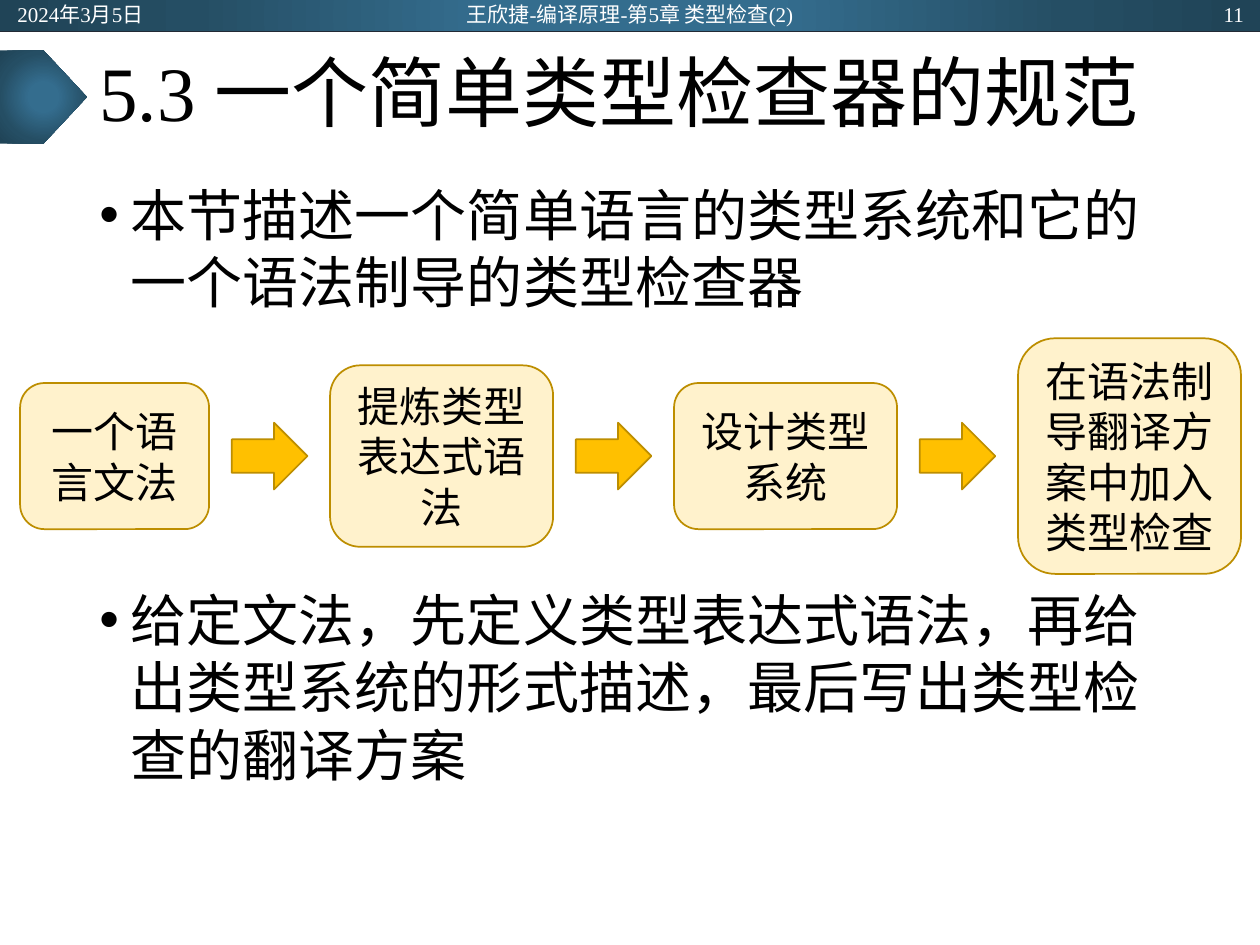
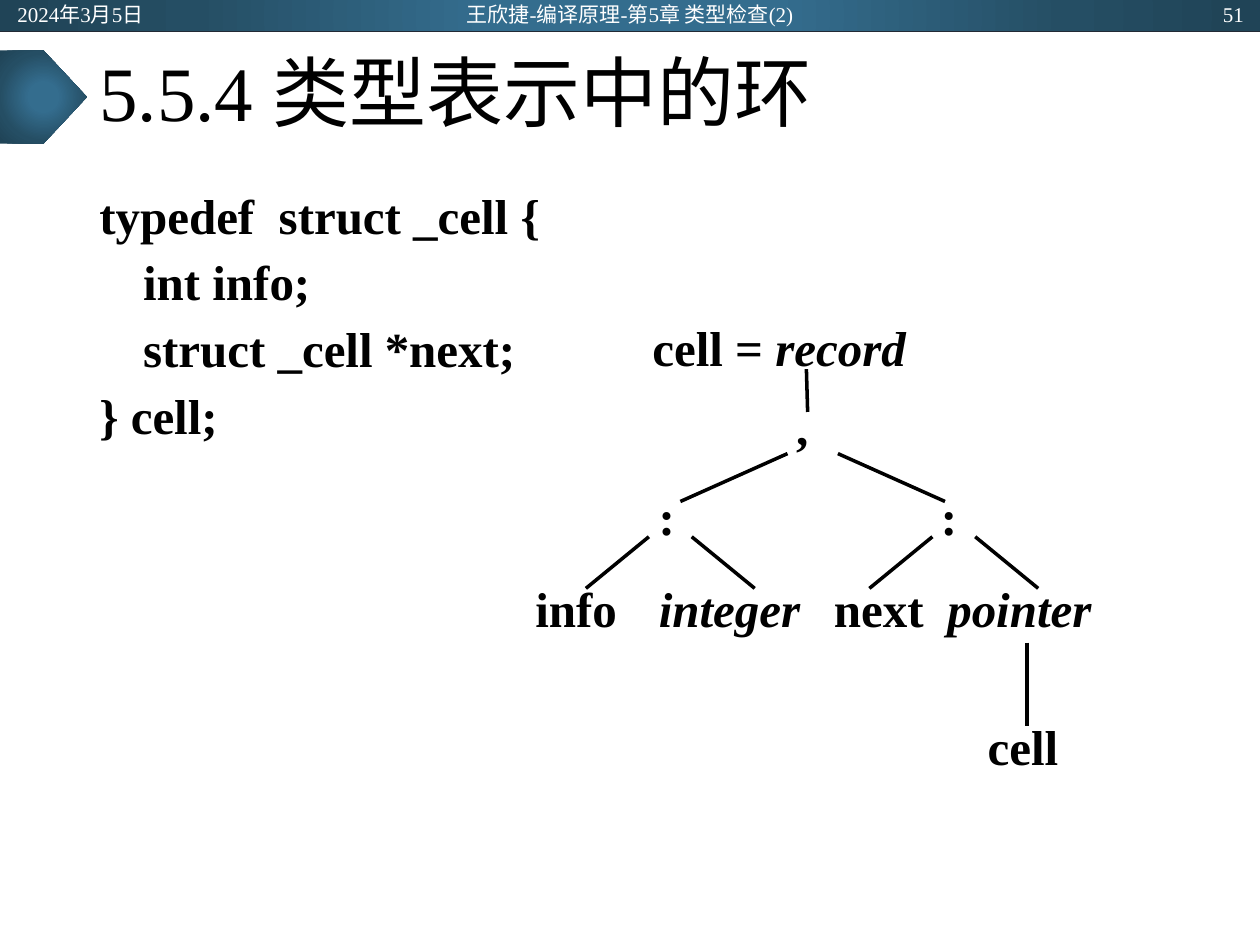
from lxml.etree import SubElement
from pptx import Presentation
from pptx.dml.color import RGBColor
from pptx.enum.shapes import MSO_CONNECTOR, MSO_SHAPE
from pptx.enum.text import MSO_ANCHOR, PP_ALIGN
from pptx.oxml import parse_xml
from pptx.oxml.ns import nsdecls, qn
from pptx.util import Inches, Pt

BLACK, WHITE = "000000", "FFFFFF"
RULE = "222A35"
BOX_FILL, ARROW_FILL, FLOW_LINE = "FFF2CC", "FFC000", "BD8E00"
BAND_STOPS = [(0, "346D8E"), (23, "346D8E"), (69, "254E64"), (97, "204457")]
LATIN_FONT, CHINESE_FONT = "Times New Roman", "Noto Sans CJK SC"
DATE = "2024年3月5日"
COURSE = "王欣捷-编译原理-第5章 类型检查(2)"
BODY_LEFT, BODY_WIDTH = 0.69, 8.62


def color(value):
    return RGBColor.from_string(value)


class Deck:
    def __init__(self):
        self.presentation = Presentation()
        self.presentation.slide_width = Inches(10)
        self.presentation.slide_height = Inches(7.5)
        self.slide = None

    def add_slide(self, title, number):
        self.slide = self.presentation.slides.add_slide(self.presentation.slide_layouts[6])
        self.gradient_shape(MSO_SHAPE.RECTANGLE, 0, 0, 10, 0.25)
        self.line(0, 0.25, 10, 0.25, RULE, 0.5)
        self.gradient_shape(MSO_SHAPE.PENTAGON, 0, 0.4, 0.69, 0.74)
        frame = self.text(title, BODY_LEFT, 0.25, BODY_WIDTH, 1.04, 44, anchor=MSO_ANCHOR.MIDDLE)
        frame.paragraphs[0].line_spacing = 0.9
        for text, left, width, align in [
            (DATE, 0.04, 2.25, PP_ALIGN.LEFT),
            (COURSE, 3.31, 3.38, PP_ALIGN.CENTER),
            (number, 7.72, 2.25, PP_ALIGN.RIGHT),
        ]:
            self.text(text, left, 0.01, width, 0.2, 12, WHITE, align=align,
                      anchor=MSO_ANCHOR.MIDDLE, insets=(0.1, 0, 0.1, 0))

    def style_run(self, run, size, text_color=BLACK, bold=False, italic=False):
        font = run.font
        font.size, font.bold, font.italic = Pt(size), bold, italic
        font.color.rgb = color(text_color)
        font.name = LATIN_FONT
        latin = run._r.get_or_add_rPr().find(qn("a:latin"))
        latin.addnext(parse_xml(f'<a:ea {nsdecls("a")} typeface="{CHINESE_FONT}"/>'))

    def style_frame(self, frame, size, text_color=BLACK, bold=False, italic=False,
                    align=PP_ALIGN.LEFT):
        for paragraph in frame.paragraphs:
            paragraph.alignment = align
            for run in paragraph.runs:
                self.style_run(run, size, text_color, bold, italic)

    def text(self, text, left, top, width, height, size, text_color=BLACK, bold=False,
             italic=False, align=PP_ALIGN.LEFT, anchor=MSO_ANCHOR.TOP,
             insets=(0.1, 0.05, 0.1, 0.05)):
        shape = self.slide.shapes.add_textbox(
            Inches(left), Inches(top), Inches(width), Inches(height))
        frame = shape.text_frame
        frame.word_wrap = True
        frame.vertical_anchor = anchor
        (frame.margin_left, frame.margin_top,
         frame.margin_right, frame.margin_bottom) = map(Inches, insets)
        frame.text = text
        self.style_frame(frame, size, text_color, bold, italic, align)
        return frame

    def body(self, lines, top, size, gap, bold=False, bullet=None):
        frame = self.text("\n".join(lines), BODY_LEFT, top, BODY_WIDTH, 5.38, size, bold=bold)
        for index, paragraph in enumerate(frame.paragraphs):
            properties = paragraph._p.get_or_add_pPr()
            properties.set("marL", str(Inches(0.25)))
            properties.set("indent", str(-Inches(0.25)))
            if bullet:
                SubElement(properties, qn("a:buFont")).set("typeface", "Arial")
                SubElement(properties, qn("a:buChar")).set("char", bullet)
            if index:
                paragraph.space_before = Pt(gap)

    def node(self, text, left, top, width, italic=False):
        return self.text(text, left, top, width, 0.43, 28, bold=True, italic=italic,
                         insets=(0.1, 0.01, 0.02, 0.01))

    def shape(self, kind, left, top, width, height):
        shape = self.slide.shapes.add_shape(
            kind, Inches(left), Inches(top), Inches(width), Inches(height))
        shape.shadow.inherit = False
        return shape

    def gradient_shape(self, kind, left, top, width, height):
        shape = self.shape(kind, left, top, width, height)
        shape.line.fill.background()
        shape.fill.background()
        stops = "".join(f'<a:gs pos="{position * 1000}"><a:srgbClr val="{value}"/></a:gs>'
                        for position, value in BAND_STOPS)
        gradient = parse_xml(
            f'<a:gradFill {nsdecls("a")} rotWithShape="1"><a:gsLst>{stops}</a:gsLst>'
            '<a:path path="circle"><a:fillToRect l="50000" t="50000" r="50000" b="50000"/>'
            '</a:path></a:gradFill>')
        properties = shape._element.spPr
        properties.replace(properties.find(qn("a:noFill")), gradient)

    def flow_shape(self, kind, left, middle, width, height, fill, text=""):
        shape = self.shape(kind, left, middle - height / 2, width, height)
        shape.fill.solid()
        shape.fill.fore_color.rgb = color(fill)
        shape.line.color.rgb = color(FLOW_LINE)
        shape.line.width = Pt(1)
        if text:
            frame = shape.text_frame
            frame.word_wrap = True
            frame.vertical_anchor = MSO_ANCHOR.MIDDLE
            frame.text = text
            self.style_frame(frame, 24, align=PP_ALIGN.CENTER)

    def line(self, x1, y1, x2, y2, line_color=BLACK, width=2):
        connector = self.slide.shapes.add_connector(
            MSO_CONNECTOR.STRAIGHT, Inches(x1), Inches(y1), Inches(x2), Inches(y2))
        connector.line.color.rgb = color(line_color)
        connector.line.width = Pt(width)
        SubElement(connector._element.spPr, qn("a:effectLst"))

    def branches(self, center, top, bottom, near, far):
        for side in (-1, 1):
            self.line(center + side * near, top, center + side * far, bottom)


def build_checker_slide(deck):
    deck.add_slide("5.3 一个简单类型检查器的规范", "11")
    deck.body(["本节描述一个简单语言的类型系统和它的一个语法制导的类型检查器",
               "给定文法，先定义类型表达式语法，再给出类型系统的形式描述，最后写出类型检查的翻译方案"],
              1.38, 32, 155, bullet="•")
    steps = [("一个语言文法", 1.5, 1.16), ("提炼类型表达式语法", 1.77, 1.44),
             ("设计类型系统", 1.77, 1.16), ("在语法制导翻译方案中加入类型检查", 1.77, 1.87)]
    left, middle, gap, arrow_width = 0.16, 3.62, 0.18, 0.6
    for index, (text, width, height) in enumerate(steps):
        if index:
            deck.flow_shape(MSO_SHAPE.RIGHT_ARROW, left, middle, arrow_width, 0.53, ARROW_FILL)
            left += arrow_width + gap
        deck.flow_shape(MSO_SHAPE.ROUNDED_RECTANGLE, left, middle, width, height, BOX_FILL, text)
        left += width + gap


def build_cycle_slide(deck):
    deck.add_slide("5.5.4 类型表示中的环", "51")
    deck.body(["typedef  struct _cell {", "\t int info;", "\t struct _cell *next;", "} cell;"],
              1.42, 28, 4.5, bold=True)
    root = deck.node("cell = ", 5.08, 2.51, 2.3)
    record = root.paragraphs[0].add_run()
    record.text = "record"
    deck.style_run(record, 28, bold=True, italic=True)
    for text, left, top, width, italic in [
        (",", 6.22, 3.14, 0.7, False),
        (":", 5.13, 3.85, 0.7, False),
        (":", 7.37, 3.85, 0.7, False),
        ("info", 4.15, 4.58, 1, False),
        ("integer", 5.13, 4.58, 1.35, True),
        ("next", 6.52, 4.58, 1, False),
        ("pointer", 7.42, 4.58, 1.82, True),
        ("cell", 7.74, 5.68, 0.91, False),
    ]:
        deck.node(text, left, top, width, italic)
    deck.line(6.4, 2.93, 6.41, 3.27)
    deck.branches(6.45, 3.6, 3.98, 0.2, 1.05)
    for center in (5.32, 7.57):
        deck.branches(center, 4.26, 4.67, 0.17, 0.67)
    deck.line(8.15, 5.1, 8.15, 5.76)


def main():
    deck = Deck()
    build_checker_slide(deck)
    build_cycle_slide(deck)
    deck.presentation.save("out.pptx")


if __name__ == "__main__":
    main()
